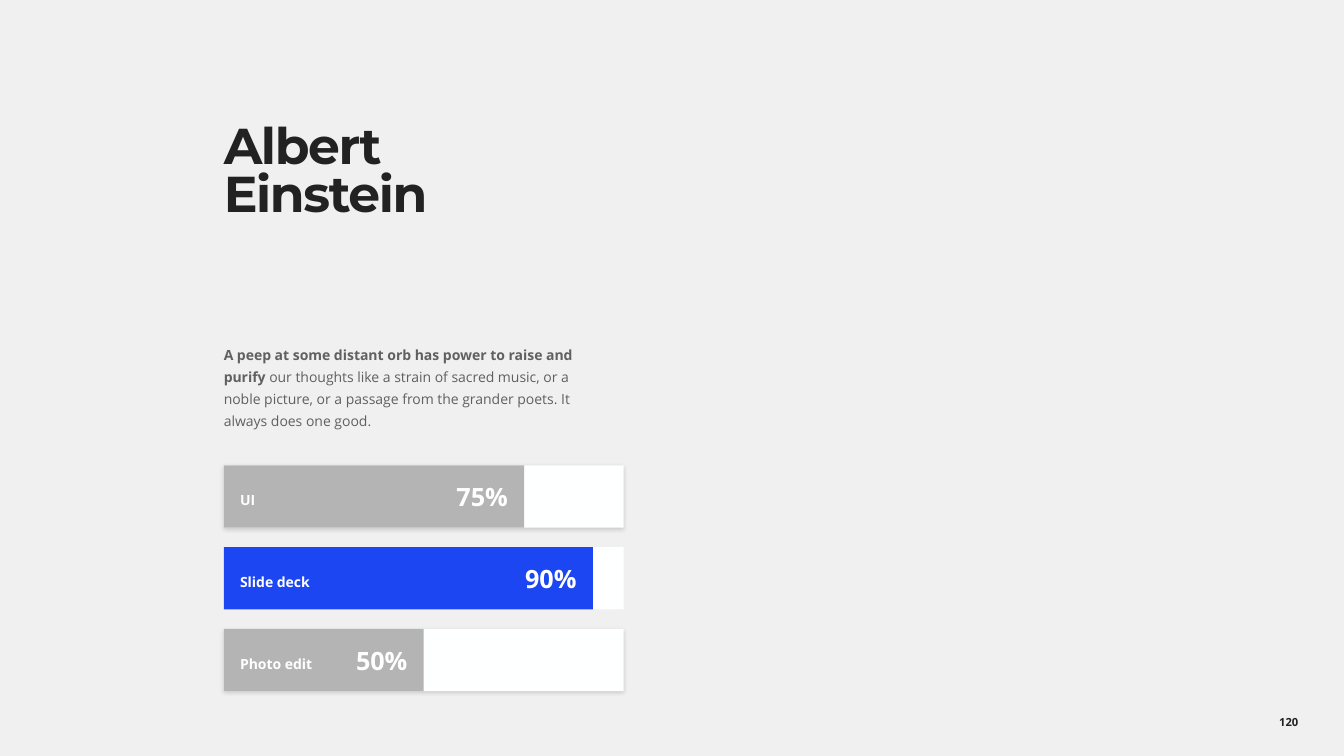
"""Build a profile slide with a short quotation and three skill bars."""

from dataclasses import dataclass

import lxml.etree
import pptx
import pptx.dml.color
import pptx.enum.shapes
import pptx.enum.text
import pptx.oxml.ns
import pptx.shapes.autoshape
import pptx.shapes.group
import pptx.slide
import pptx.text.text
import pptx.util

Cm = pptx.util.Cm
ALIGN = pptx.enum.text.PP_ALIGN
ANCHOR = pptx.enum.text.MSO_ANCHOR


@dataclass(frozen=True)
class Theme:
    """Colours, fonts and type sizes of the slide."""

    background: str = "F0F0F0"
    dark: str = "222222"
    body: str = "606060"
    white: str = "FFFFFF"
    track: str = "FEFFFF"
    muted: str = "B4B4B4"
    accent: str = "1D46F3"
    heading_font: str = "Montserrat"
    body_font: str = "Open Sans"
    title_size: int = 36
    value_size: int = 18
    body_size: int = 10
    number_size: int = 8


@dataclass(frozen=True)
class Box:
    """A rectangle in centimetres."""

    left: float
    top: float
    width: float
    height: float

    def lengths(self) -> tuple[int, int, int, int]:
        """Return the rectangle as slide lengths."""
        return Cm(self.left), Cm(self.top), Cm(self.width), Cm(self.height)


@dataclass(frozen=True)
class Skill:
    """One skill bar: its wording, filled width, colour and shadow."""

    label: str
    value: str
    filled_width: float
    color: str
    raised: bool


THEME = Theme()
LEFT = 5.64
BAR_WIDTH, BAR_HEIGHT = 10.08, 1.57
FIRST_BAR_TOP, BAR_PITCH = 11.73, 2.06
BAR_PADDING = 0.41
SKILLS = (
    Skill("UI", "75%", 7.57, THEME.muted, True),
    Skill("Slide deck", "90%", 9.3, THEME.accent, False),
    Skill("Photo edit", "50%", 5.04, THEME.muted, True),
)


def rgb(color: str) -> pptx.dml.color.RGBColor:
    """Turn a hexadecimal string into a colour."""
    return pptx.dml.color.RGBColor.from_string(color)


def set_frame(frame: pptx.text.text.TextFrame, margins: tuple[float, float, float, float],
              anchor: ANCHOR) -> None:
    """Set wrapping, anchor and the left, top, right and bottom margins."""
    frame.word_wrap = True
    frame.auto_size = pptx.enum.text.MSO_AUTO_SIZE.NONE
    frame.vertical_anchor = anchor
    left, top, right, bottom = map(Cm, margins)
    frame.margin_left, frame.margin_top = left, top
    frame.margin_right, frame.margin_bottom = right, bottom


def format_paragraph(paragraph: pptx.text.text._Paragraph, size: int, color: str,
                     font_name: str = THEME.body_font, align: ALIGN = ALIGN.LEFT,
                     line_spacing: float = 1.0, bold: bool | None = True) -> None:
    """Set the alignment, spacing and font of a paragraph."""
    paragraph.alignment = align
    paragraph.line_spacing = line_spacing
    paragraph.space_before = pptx.util.Pt(0)
    paragraph.font.name = font_name
    paragraph.font.size = pptx.util.Pt(size)
    paragraph.font.bold = bold
    paragraph.font.color.rgb = rgb(color)


def add_shadow(shape: pptx.shapes.autoshape.Shape) -> None:
    """Give a shape a faint shadow straight below it."""
    effects = shape._element.spPr.find(pptx.oxml.ns.qn("a:effectLst"))
    shadow = lxml.etree.SubElement(
        effects, pptx.oxml.ns.qn("a:outerShdw"), blurRad=str(pptx.util.Pt(3)),
        dist=str(pptx.util.Pt(1)), dir="5400000", algn="t", rotWithShape="0")
    color = lxml.etree.SubElement(shadow, pptx.oxml.ns.qn("a:srgbClr"), val="000000")
    lxml.etree.SubElement(color, pptx.oxml.ns.qn("a:alpha"), val="15000")


def add_rectangle(group: pptx.shapes.group.GroupShape, box: Box,
                  color: str) -> pptx.shapes.autoshape.Shape:
    """Add a plain filled rectangle."""
    shape = group.shapes.add_shape(
        pptx.enum.shapes.MSO_SHAPE.RECTANGLE, *box.lengths())
    shape.shadow.inherit = False
    shape.fill.solid()
    shape.fill.fore_color.rgb = rgb(color)
    shape.line.fill.background()
    return shape


def add_skill(slide: pptx.slide.Slide, skill: Skill, top: float) -> None:
    """Add a grouped skill bar with its value and label."""
    group = slide.shapes.add_group_shape()
    track = add_rectangle(group, Box(LEFT, top, BAR_WIDTH, BAR_HEIGHT), THEME.track)
    if skill.raised:
        add_shadow(track)

    bar = add_rectangle(group, Box(LEFT, top, skill.filled_width, BAR_HEIGHT), skill.color)
    set_frame(bar.text_frame, (BAR_PADDING, 0.13, BAR_PADDING, 0.13), ANCHOR.MIDDLE)
    bar.text_frame.text = skill.value
    format_paragraph(bar.text_frame.paragraphs[0], THEME.value_size, THEME.white,
                     align=ALIGN.RIGHT)

    label = group.shapes.add_textbox(
        *Box(LEFT + BAR_PADDING, top + 0.43, 2.7, 0.71).lengths())
    set_frame(label.text_frame, (0, 0.1, 0, 0.1), ANCHOR.TOP)
    label.text_frame.text = skill.label
    format_paragraph(label.text_frame.paragraphs[0], THEME.body_size, THEME.white,
                     line_spacing=1.3)


def add_title(slide: pptx.slide.Slide) -> None:
    """Place and format the title."""
    title = slide.shapes.title
    title.left, title.top, title.width, title.height = Box(LEFT, 2.64, 11.3, 5.56).lengths()
    set_frame(title.text_frame, (0, 0.53, 0, 0), ANCHOR.TOP)
    title.text_frame.text = "Albert\vEinstein"
    paragraph = title.text_frame.paragraphs[0]
    format_paragraph(paragraph, THEME.title_size, THEME.dark,
                     THEME.heading_font, line_spacing=0.8)
    paragraph._p.pPr.get_or_add_defRPr().set("spc", "-100")


def add_quotation(slide: pptx.slide.Slide) -> None:
    """Add the quotation with its bold opening."""
    box = slide.shapes.add_textbox(*Box(LEFT, 8.51, BAR_WIDTH, 2.41).lengths())
    set_frame(box.text_frame, (0, 0.1, 0.61, 0.1), ANCHOR.TOP)
    paragraph = box.text_frame.paragraphs[0]
    format_paragraph(paragraph, THEME.body_size, THEME.body, line_spacing=1.3, bold=None)
    opening = paragraph.add_run()
    opening.text = "A peep at some distant orb has power to raise and purify "
    opening.font.bold = True
    paragraph.add_run().text = (
        "our thoughts like a strain of sacred music, or a noble picture, "
        "or a passage from the grander poets. It always does one good.")


def add_page_number(slide: pptx.slide.Slide) -> None:
    """Add the page number in the lower right corner."""
    box = slide.shapes.add_textbox(*Box(31.09, 17.68, 2.78, 1.02).lengths())
    set_frame(box.text_frame, (0.25, 0.13, 0.25, 0.13), ANCHOR.MIDDLE)
    box.text_frame.text = "120"
    format_paragraph(box.text_frame.paragraphs[0], THEME.number_size, THEME.dark,
                     align=ALIGN.CENTER)


def main() -> None:
    """Build and save the presentation."""
    presentation = pptx.Presentation()
    presentation.slide_width, presentation.slide_height = Cm(33.87), Cm(19.05)
    slide = presentation.slides.add_slide(presentation.slide_layouts[5])
    slide.background.fill.solid()
    slide.background.fill.fore_color.rgb = rgb(THEME.background)
    add_page_number(slide)
    add_title(slide)
    add_quotation(slide)
    for index, skill in enumerate(SKILLS):
        add_skill(slide, skill, FIRST_BAR_TOP + index * BAR_PITCH)
    presentation.save("out.pptx")


if __name__ == "__main__":
    main()
